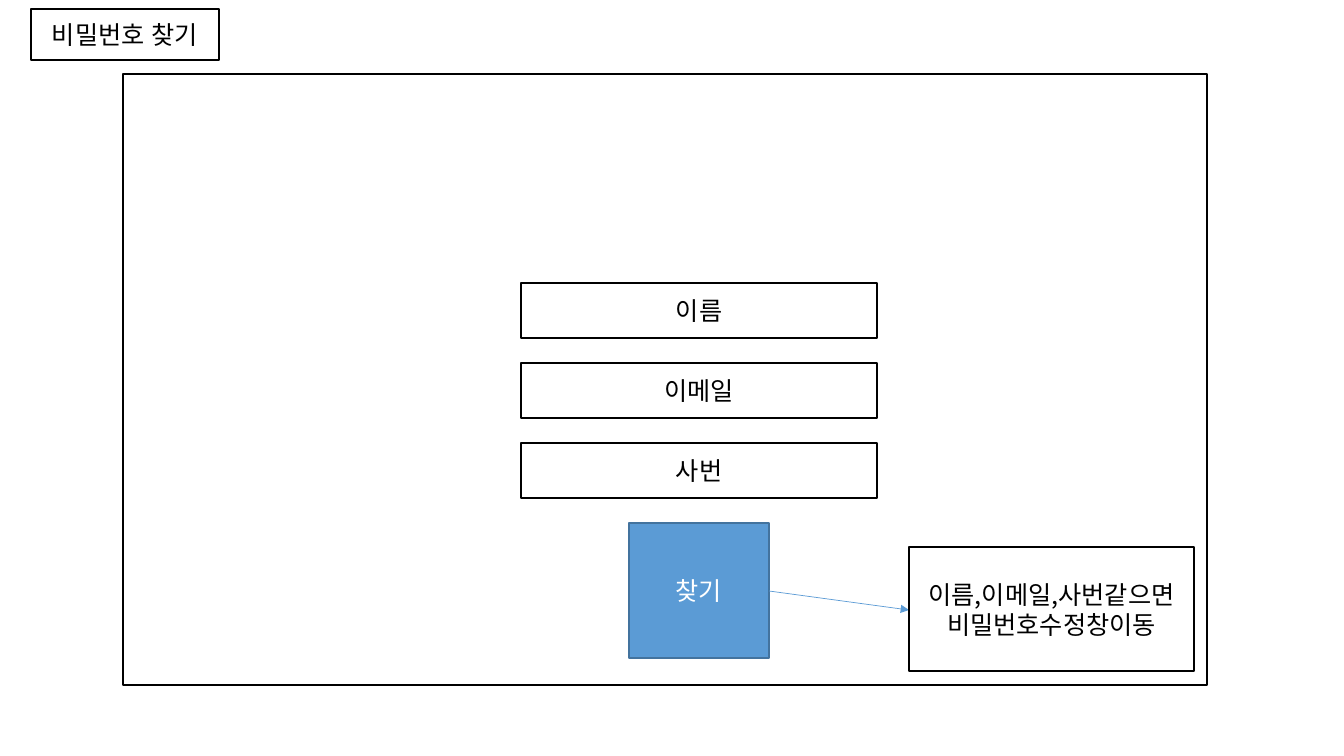
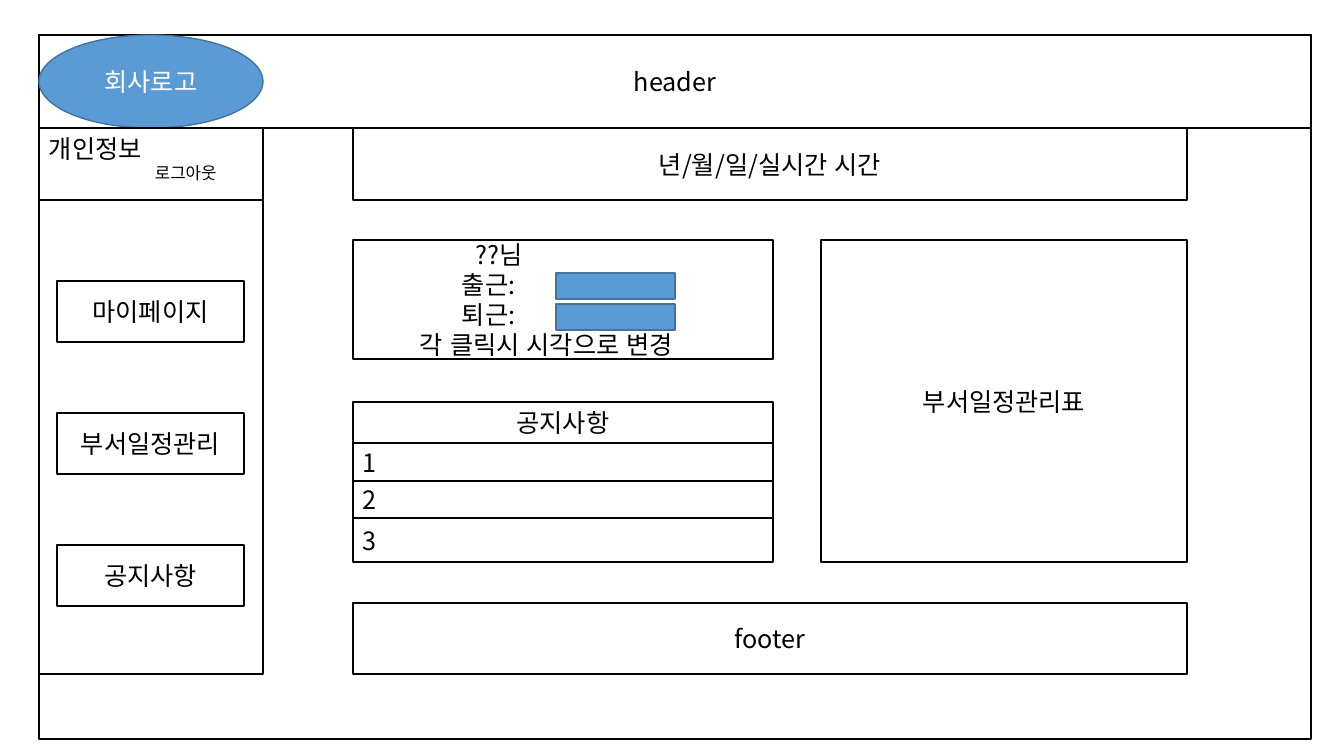
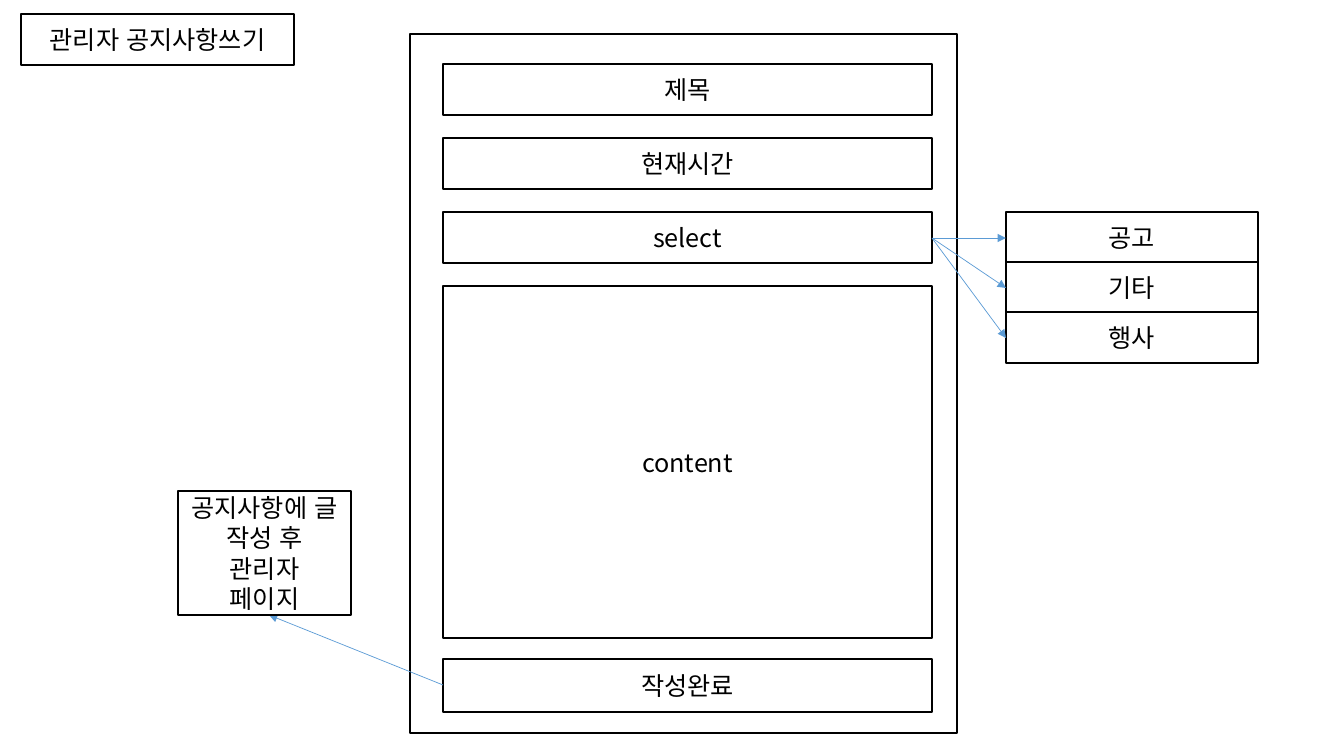
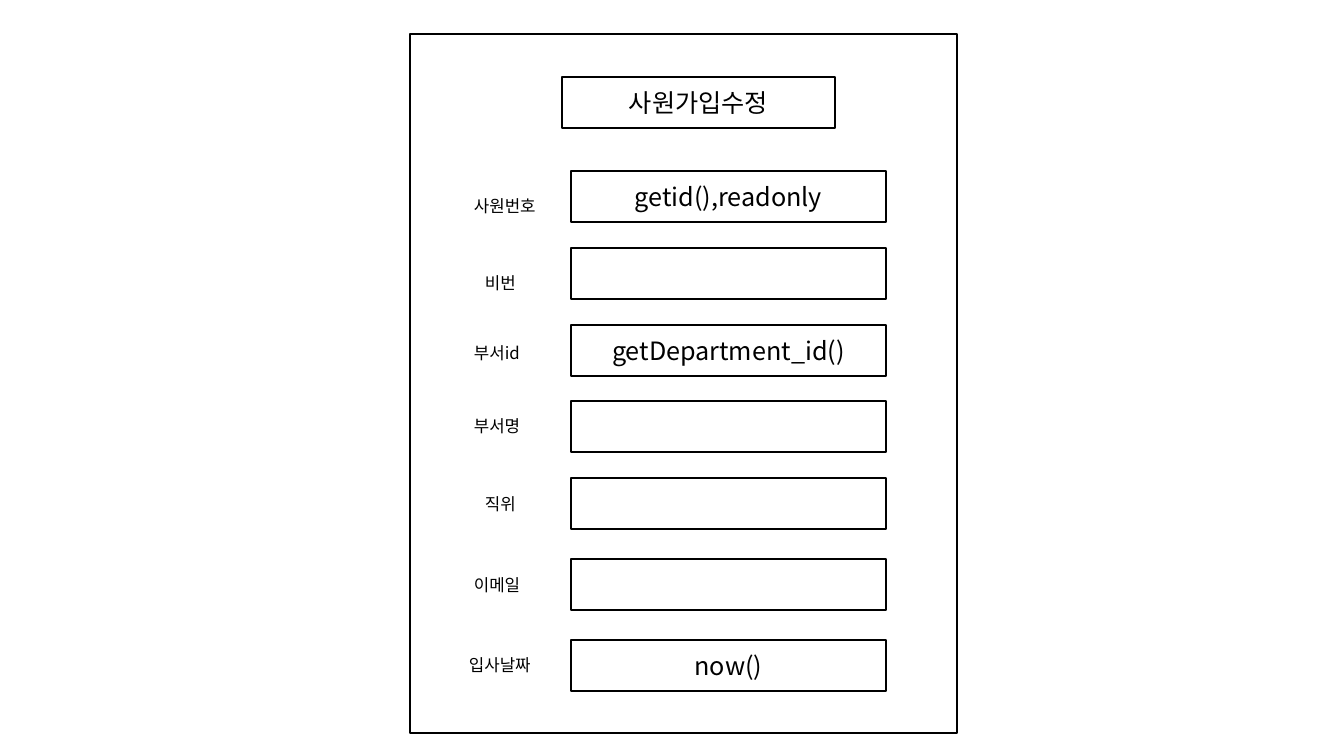
from lxml.etree import SubElement
from pptx import Presentation
from pptx.dml.color import RGBColor
from pptx.enum.lang import MSO_LANGUAGE_ID
from pptx.enum.shapes import MSO_CONNECTOR, MSO_SHAPE
from pptx.enum.text import MSO_ANCHOR, PP_ALIGN
from pptx.oxml.ns import qn
from pptx.util import Pt

WHITE = RGBColor(0xFF, 0xFF, 0xFF)
BLACK = RGBColor(0, 0, 0)
BLUE = RGBColor(0x5B, 0x9B, 0xD5)
NAVY = RGBColor(0x43, 0x73, 0x9E)
FONT = "Noto Sans CJK KR"
SCALE = 914400 / 100.8


def px(value):
    return round(value * SCALE)


class Deck:
    def __init__(self):
        self.file = Presentation()
        self.file.slide_width, self.file.slide_height = px(1344), px(756)

    def page(self):
        self.shapes = self.file.slides.add_slide(self.file.slide_layouts[6]).shapes

    def fill_text(self, frame, lines, color=BLACK, align=PP_ALIGN.LEFT):
        frame.word_wrap = True
        for index, (text, size, indent) in enumerate(lines):
            para = frame.paragraphs[0] if index == 0 else frame.add_paragraph()
            para.alignment = align
            if indent:
                para._p.get_or_add_pPr().set("marL", str(px(indent)))
            run = para.add_run()
            run.text = text
            run.font.size = Pt(size)
            run.font.name = FONT
            run.font.color.rgb = color
            run.font.language_id = MSO_LANGUAGE_ID.KOREAN
            SubElement(run._r.get_or_add_rPr(), qn("a:ea"), typeface=FONT)

    def box(self, x, y, w, h, *texts, kind=MSO_SHAPE.RECTANGLE, fill=WHITE,
            edge=BLACK, color=BLACK, align=PP_ALIGN.CENTER, anchor=MSO_ANCHOR.MIDDLE):
        shape = self.shapes.add_shape(kind, px(x), px(y), px(w), px(h))
        shape.shadow.inherit = False
        shape.fill.solid()
        shape.fill.fore_color.rgb = fill
        shape.line.color.rgb = edge
        shape.line.width = Pt(1)
        shape.text_frame.vertical_anchor = anchor
        lines = [(text, 18, 0) if isinstance(text, str) else text for text in texts]
        self.fill_text(shape.text_frame, lines, color, align)

    def accent(self, x, y, w, h, *texts, kind=MSO_SHAPE.RECTANGLE):
        self.box(x, y, w, h, *texts, kind=kind, fill=BLUE, edge=NAVY, color=WHITE)

    def label(self, x, y, w, text):
        area = self.shapes.add_textbox(px(x), px(y), px(w), px(30))
        self.fill_text(area.text_frame, [(text, 12, 0)])

    def arrow(self, x1, y1, x2, y2):
        line = self.shapes.add_connector(
            MSO_CONNECTOR.STRAIGHT, px(x1), px(y1), px(x2), px(y2))
        line.line.color.rgb = BLUE
        line.line.width = Pt(0.5)
        SubElement(line.line._get_or_add_ln(), qn("a:tailEnd"), type="triangle")
        SubElement(line._element.spPr, qn("a:effectLst"))

    def form(self):
        self.page()
        self.box(410, 34, 547, 699)


def find_page(deck):
    deck.page()
    deck.box(123, 74, 1084, 611)
    deck.box(31, 9, 188, 51, "비밀번호 찾기")
    for row, name in enumerate(["이름", "이메일", "사번"]):
        deck.box(521, 283 + 80 * row, 356, 55, name)
    deck.accent(629, 523, 140, 135, "찾기")
    deck.arrow(769, 591, 909, 610)
    deck.box(909, 547, 285, 124, "이름,이메일,사번같으면 비밀번호수정창이동")


def main_page(deck):
    deck.page()
    deck.box(39, 35, 1272, 704)
    deck.box(39, 35, 1272, 93, "header")
    deck.box(39, 200, 224, 474)
    deck.accent(39, 35, 224, 93, "회사로고", kind=MSO_SHAPE.OVAL)
    deck.box(39, 128, 224, 72, "개인정보", ("로그아웃", 12, 106),
             align=PP_ALIGN.LEFT, anchor=MSO_ANCHOR.TOP)
    for row, name in enumerate(["마이페이지", "부서일정관리", "공지사항"]):
        deck.box(57, 281 + 132 * row, 187, 61, name)
    deck.box(353, 603, 834, 71, "footer")
    deck.box(353, 128, 834, 72, "년/월/일/실시간 시간")
    deck.box(353, 240, 420, 119, ("??님", 18, 113), ("출근:", 18, 99),
             ("퇴근:", 18, 99), ("각 클릭시 시각으로 변경", 18, 57),
             align=PP_ALIGN.LEFT)
    deck.box(821, 240, 366, 322, "부서일정관리표")
    deck.box(353, 402, 420, 41, "공지사항")
    for name, top, high in [("1", 443, 38), ("2", 481, 37), ("3", 518, 44)]:
        deck.box(353, top, 420, high, name, align=PP_ALIGN.LEFT)
    for top in (273, 304):
        deck.accent(556, top, 119, 26)


def notice_page(deck):
    deck.form()
    deck.box(21, 14, 273, 51, "관리자 공지사항쓰기")
    for row, name in enumerate(["제목", "현재시간", "select"]):
        deck.box(443, 64 + 74 * row, 489, 51, name)
    deck.box(443, 286, 489, 352, "content")
    deck.box(443, 659, 489, 53, "작성완료")
    deck.arrow(443, 685, 269, 615)
    deck.box(178, 491, 173, 124, "공지사항에 글 작성 후", "관리자", "페이지")
    for row, name in enumerate(["공고", "기타", "행사"]):
        top = 212 + 50 * row
        deck.box(1006, top, 252, 51, name)
        deck.arrow(932, 238, 1006, top + 26)


def staff_page(deck):
    deck.form()
    deck.box(562, 77, 273, 51, "사원가입수정")
    fields = [
        (171, "getid(),readonly", 464, 191, 89, "사원번호"),
        (248, "", 475, 268, 77, "비번"),
        (325, "getDepartment_id()", 464, 338, 79, "부서id"),
        (401, "", 464, 411, 75, "부서명"),
        (478, "", 475, 489, 56, "직위"),
        (559, "", 464, 570, 75, "이메일"),
        (640, "now()", 459, 650, 89, "입사날짜"),
    ]
    for top, value, left, high, wide, name in fields:
        deck.box(571, top, 315, 51, *([value] if value else []))
        deck.label(left, high, wide, name)


deck = Deck()
for build in (find_page, main_page, notice_page, staff_page):
    build(deck)
deck.file.save("out.pptx")
